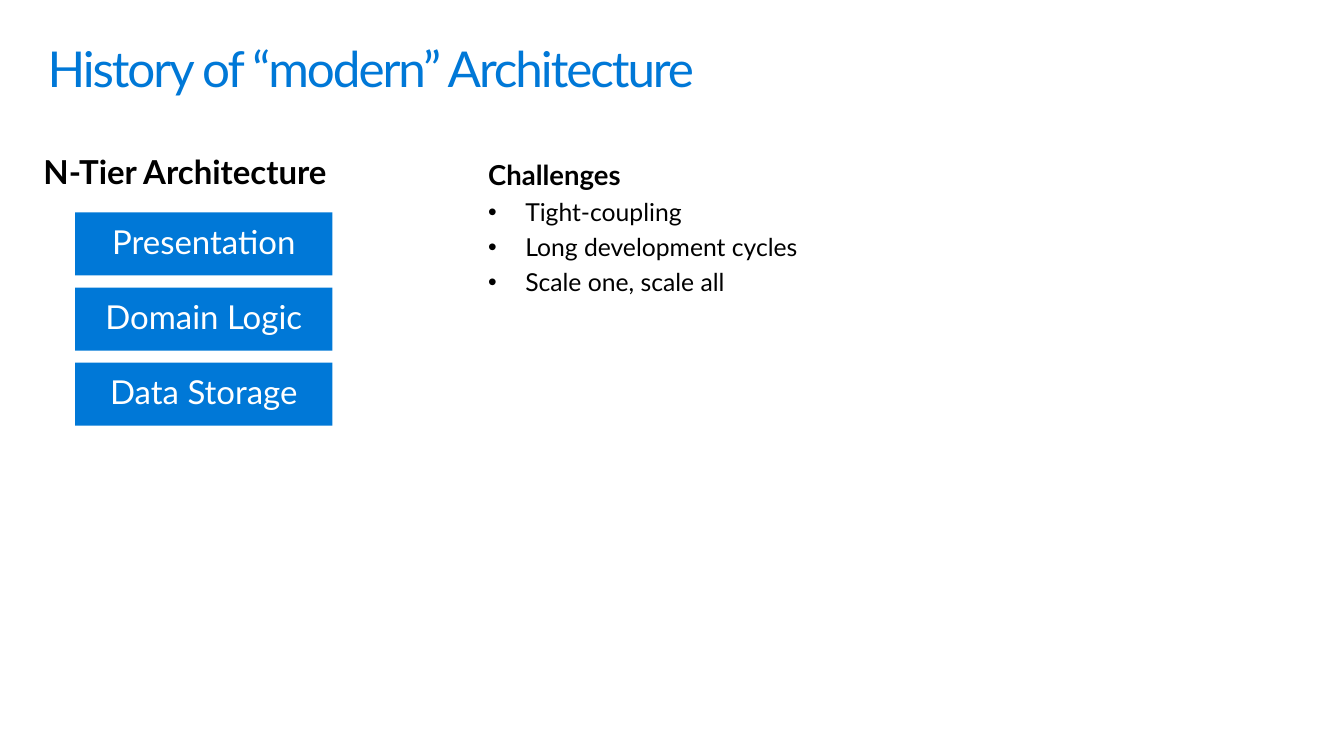
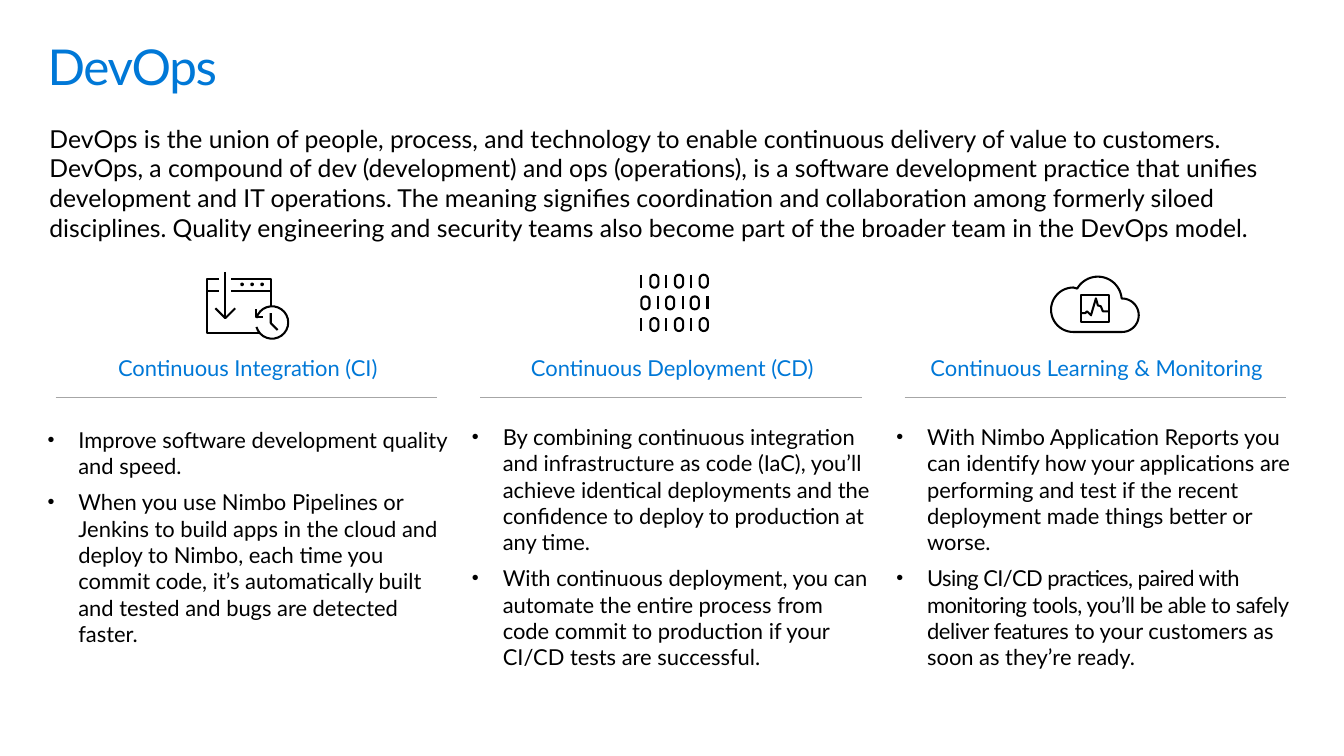
import math

from lxml import etree
from pptx import Presentation
from pptx.dml.color import RGBColor
from pptx.enum.shapes import MSO_CONNECTOR, MSO_SHAPE
from pptx.enum.text import MSO_ANCHOR, MSO_AUTO_SIZE, PP_ALIGN
from pptx.oxml.ns import qn
from pptx.util import Pt

LEFT, CENTER = PP_ALIGN.LEFT, PP_ALIGN.CENTER
TOP, MIDDLE = MSO_ANCHOR.TOP, MSO_ANCHOR.MIDDLE
NO_FIT = MSO_AUTO_SIZE.NONE
RECT, STRAIGHT = MSO_SHAPE.RECTANGLE, MSO_CONNECTOR.STRAIGHT
TWO_CONTENT, COMPARISON = 3, 4

FONT = "Lato"
BLUE, BLACK, WHITE, GRAY = "0078D7", "000000", "FFFFFF", "A6A6A6"
MARGIN = 34.6
CONTENT_W = 910.8
COLUMN_PITCH, COLUMN_W = 309.2, 292
UNITS = 100

TIERS = ["Presentation", "Domain Logic", "Data Storage"]
CHALLENGES = ["Tight-coupling", "Long development cycles", "Scale one, scale all"]
DEVOPS = (
    "DevOps is the union of people, process, and technology to enable continuous "
    "delivery of value to customers. DevOps, a compound of dev (development) and ops "
    "(operations), is a software development practice that unifies development and IT "
    "operations. The meaning signifies coordination and collaboration among formerly "
    "siloed disciplines. Quality engineering and security teams also become part of the "
    "broader team in the DevOps model."
)
COLUMNS = [
    ("Continuous Integration (CI)", 33.2, [
        "Improve software development quality and speed.",
        "When you use Nimbo Pipelines or Jenkins to build apps in the cloud and deploy "
        "to Nimbo, each time you commit code, it’s automatically built and tested and "
        "bugs are detected faster.",
    ]),
    ("Continuous Deployment (CD)", 30.8, [
        "By combining continuous integration and infrastructure as code (IaC), you’ll "
        "achieve identical deployments and the confidence to deploy to production at "
        "any time.",
        "With continuous deployment, you can automate the entire process from code "
        "commit to production if your CI/CD tests are successful.",
    ]),
    ("Continuous Learning & Monitoring", 30.8, [
        "With Nimbo Application Reports you can identify how your applications are "
        "performing and test if the recent deployment made things better or worse.",
        [("Using CI/CD practices, paired with monitoring ", -0.4),
         ("tools, you’ll be able to safely deliver features", -0.3),
         (" to your customers as soon as they’re ready.", 0)],
    ]),
]


def color(value):
    return RGBColor.from_string(value)


def place(sp, left, top, width, height):
    sp.left, sp.top, sp.width, sp.height = Pt(left), Pt(top), Pt(width), Pt(height)


def frame(sp, margins=(0, 0, 0, 0), anchor=TOP):
    tf = sp.text_frame
    tf.word_wrap, tf.auto_size, tf.vertical_anchor = True, NO_FIT, anchor
    tf.margin_left, tf.margin_top, tf.margin_right, tf.margin_bottom = map(Pt, margins)
    return tf


def set_bullet(p, indent, percent):
    pPr = p._p.get_or_add_pPr()
    pPr.set("marL", str(Pt(indent)))
    pPr.set("indent", str(-Pt(indent)))
    if indent:
        etree.SubElement(pPr, qn("a:buSzPct")).set("val", str(percent * 1000))
        etree.SubElement(pPr, qn("a:buFont")).set("typeface", "Arial")
        etree.SubElement(pPr, qn("a:buChar")).set("char", "•")
    else:
        etree.SubElement(pPr, qn("a:buNone"))


def write(tf, text, size, fill=BLACK, bold=False, align=LEFT, line=1.0, after=0,
          indent=0, percent=100, spacing=0):
    p = tf.paragraphs[0]
    if p.runs:
        p = tf.add_paragraph()
    p.alignment, p.line_spacing = align, line
    p.space_before, p.space_after = Pt(0), Pt(after)
    set_bullet(p, indent, percent)
    for part, spc in [(text, spacing)] if isinstance(text, str) else text:
        r = p.add_run()
        r.text = part
        r.font.name, r.font.size, r.font.bold = FONT, Pt(size), bold
        r.font.color.rgb = color(fill)
        if spc:
            r._r.get_or_add_rPr().set("spc", str(round(spc * 100)))


def add_slide(prs, layout, title, top, spacing):
    s = prs.slides.add_slide(prs.slide_layouts[layout])
    place(s.shapes.title, MARGIN, top, CONTENT_W, 59)
    write(frame(s.shapes.title, (0, 13, 0, 0)), title, 36, BLUE, line=0.9, spacing=spacing)
    return s


def body(s, idx, box, margins=(0, 0, 0, 0)):
    sp = s.placeholders[idx]
    place(sp, *box)
    return frame(sp, margins)


def add_tier(s, text, top):
    sp = s.shapes.add_shape(RECT, Pt(54.7), Pt(top), Pt(187.5), Pt(45.9))
    sp.shadow.inherit = False
    sp.fill.solid()
    sp.fill.fore_color.rgb = color(BLUE)
    sp.line.fill.background()
    tf = frame(sp, (14.4, 11.5, 14.4, 11.5), MIDDLE)
    write(tf, text, 24, WHITE, align=CENTER, line=0.9)


def add_rule(s, left, top, width):
    sp = s.shapes.add_connector(STRAIGHT, Pt(left), Pt(top), Pt(left + width), Pt(top))
    sp.line.color.rgb, sp.line.width = color(GRAY), Pt(1)
    etree.SubElement(sp._element.spPr, qn("a:effectLst"))


def arc(cx, cy, radius, start, end, steps=24):
    angles = [math.radians(start + (end - start) * i / steps) for i in range(steps + 1)]
    return [(cx + radius * math.cos(a), cy + radius * math.sin(a)) for a in angles]


def add_outline(s, *contours, fill=None):
    scaled = [[(x * UNITS, y * UNITS) for x, y in points] for points in contours]
    fb = s.shapes.build_freeform(*scaled[0][0], scale=Pt(1) / UNITS)
    for i, points in enumerate(scaled):
        if i:
            fb.move_to(*points[0])
        fb.add_line_segments(points[1:], close=False)
    sp = fb.convert_to_shape()
    sp.shadow.inherit = False
    if fill:
        sp.fill.solid()
        sp.fill.fore_color.rgb = color(fill)
    else:
        sp.fill.background()
    sp.line.color.rgb, sp.line.width = color(BLACK), Pt(1.5)


def add_build_icon(s):
    left, gap_left, stem, gap_right, right = 150.5, 159.8, 164.2, 168.5, 197.3
    top, header, bottom, tip = 203, 211.7, 242.6, 231.8
    dots = [arc(x, 207.2, 0.6, 0, 360, 8) for x in (176.4, 183.7, 191)]
    add_outline(
        s,
        [(gap_right, top), (right, top), (right, bottom), (left, bottom), (left, top),
         (gap_left, top)],
        [(gap_right, header), (right, header)],
        [(left, header), (gap_left, header)],
        [(stem - 7.2, tip - 7.2), (stem, tip), (stem + 7.2, tip - 7.2)],
        [(stem, 198), (stem, tip)],
        *dots, fill=WHITE)
    add_outline(
        s,
        arc(198.2, 235, 11.8, 164, -164),
        [(202.3, 240.5), (197.3, 235.4), (197.3, 228.2)],
        [(186.5, 225.4), (186.5, 231.1), (191.5, 231.1)],
        fill=WHITE)


def zero_digit(left, top, height, radius=2.95):
    cx = left + radius
    points = (arc(cx, top + radius, radius, 180, 360, 10)
              + arc(cx, top + height - radius, radius, 0, 180, 10))
    return points + points[:1]


def add_binary_icon(s):
    left, top, height, pair, pitch = 467.3, 200.2, 9.4, 18, 15.8
    digits = []
    for row in range(3):
        y = top + row * pitch
        one, zero = (12.2, 0) if row % 2 else (0, 6.5)
        for col in range(3):
            x = left + col * pair
            digits.append([(x + one, y), (x + one, y + height)])
            digits.append(zero_digit(x + zero, y, height))
    add_outline(s, *digits)


def add_cloud_icon(s):
    cloud = (arc(782, 225.7, 16.2, 90, 270) + arc(799.9, 219, 17.4, 210, 355)
             + arc(817.5, 229.7, 12.2, -90, 90))
    add_outline(s, cloud + cloud[:1])
    left, top, right, bottom = 787.7, 214.6, 807.8, 234.7
    add_outline(
        s,
        [(left, bottom), (left, top), (right, top), (right, bottom), (left, bottom)],
        [(right, 226.8), (803.5, 226.8), (802.1, 223.2), (799.9, 222.5), (798.5, 217.4),
         (794.9, 229.7), (792, 226.8), (790.6, 228.2), (left, 228.2)])


def build_history(prs):
    s = add_slide(prs, TWO_CONTENT, "History of “modern” Architecture", 19.4, -1.5)
    write(body(s, 1, (31.7, 110.2, 249, 29)), "N-Tier Architecture", 24, bold=True)
    for i, tier in enumerate(TIERS):
        add_tier(s, tier, 154.8 + i * 54.7)
    tf = body(s, 2, (341.3, 106.6, 280, 154), (14.4, 11.5, 14.4, 11.5))
    write(tf, "Challenges", 20, bold=True, line=0.9, after=6)
    for challenge in CHALLENGES:
        write(tf, challenge, 18, line=0.9, after=6, indent=27)


def build_devops(prs):
    s = add_slide(prs, COMPARISON, "DevOps", 18, -1)
    write(body(s, 1, (36, 90, CONTENT_W, 87)), DEVOPS, 18)
    for i, (heading, gap, items) in enumerate(COLUMNS):
        left = MARGIN + i * COLUMN_PITCH
        tf = body(s, i + 2, (left, 258.5, COLUMN_W, 232))
        write(tf, heading, 16, BLUE, align=CENTER, after=gap)
        for item in items:
            write(tf, item, 16, after=7, indent=22.5, percent=90)
        add_rule(s, left + 6, 289.4, 278)
    add_build_icon(s)
    add_binary_icon(s)
    add_cloud_icon(s)


def main():
    prs = Presentation()
    prs.slide_width, prs.slide_height = Pt(979.2), Pt(550.8)
    build_history(prs)
    build_devops(prs)
    prs.save("out.pptx")


if __name__ == "__main__":
    main()
